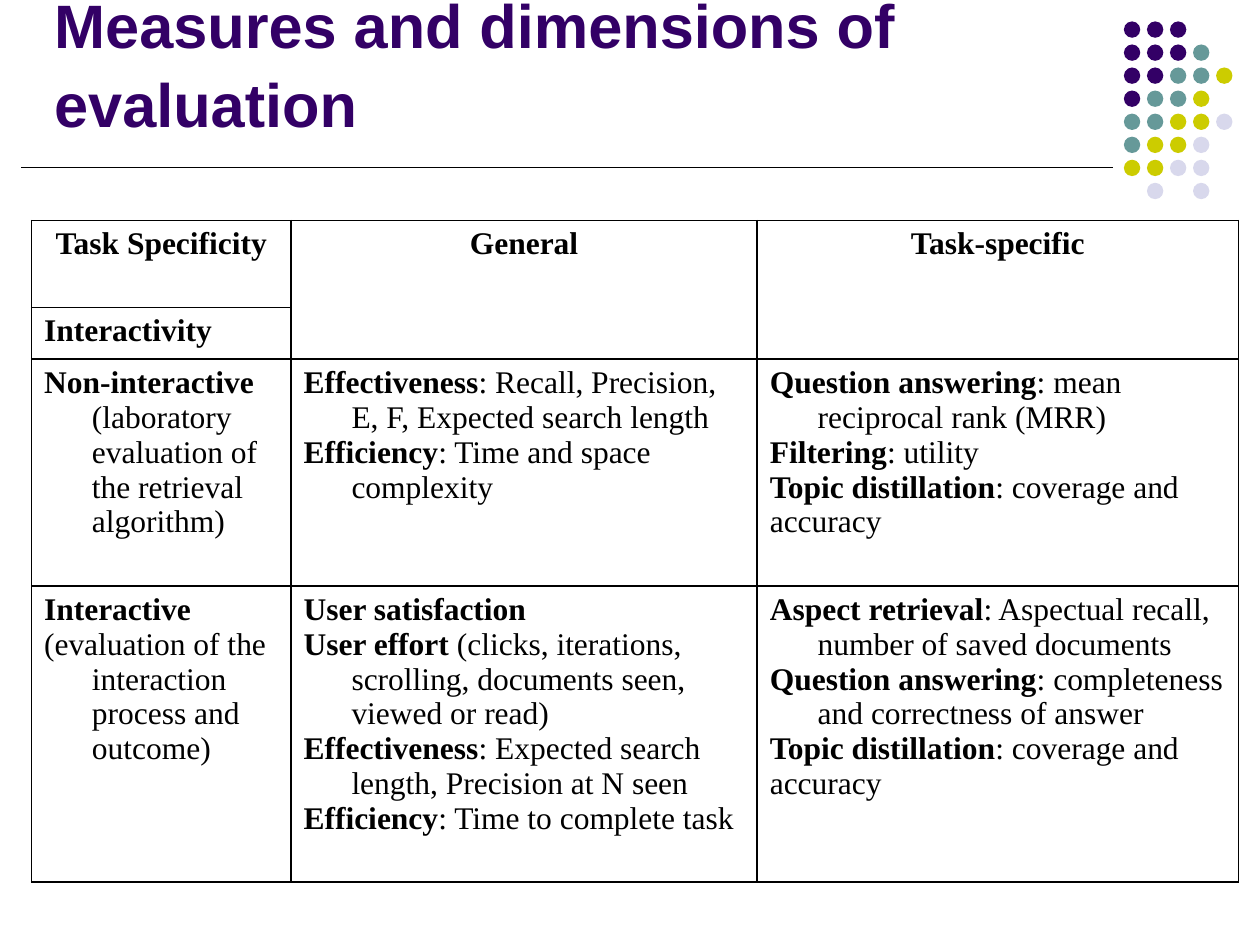
from lxml.etree import SubElement
from pptx import Presentation
from pptx.dml.color import RGBColor
from pptx.enum.shapes import MSO_CONNECTOR as CONNECTOR, MSO_SHAPE as SHAPE
from pptx.enum.text import MSO_ANCHOR as ANCHOR, MSO_AUTO_SIZE as AUTO_SIZE, PP_ALIGN as ALIGN
from pptx.oxml.ns import qn
from pptx.util import Inches, Pt

COLORS = {
    "purple": "330066",
    "teal": "669999",
    "olive": "CCCC00",
    "lavender": "D8D8EC",
    "black": "000000",
}

# One letter per dot, a point where the grid is empty
DOT_ROWS = ["PPP..", "PPPT.", "PPTTO", "PTTO.", "TTOOL", "TOOL.", "OOLL.", ".L.L."]
DOT_COLORS = {"P": "purple", "T": "teal", "O": "olive", "L": "lavender"}
DOT_SIZE, DOT_PITCH = 0.13, 0.183

COLUMN_WIDTHS = [2.06, 3.7, 3.82]
ROW_HEIGHTS = [0.69, 0.41, 1.8, 2.35]
HANGING_INDENT = 0.38

# Each cell is a list of paragraphs: (bold part, regular part)
HEADINGS = [
    [("Task Specificity", "")],
    [("General", "")],
    [("Task-specific", "")],
]
BODY_ROWS = [
    [[("Interactivity", "")], [], []],
    [
        [("Non-interactive", " (laboratory evaluation of the retrieval algorithm)")],
        [
            ("Effectiveness", ": Recall, Precision, E, F, Expected search length"),
            ("Efficiency", ": Time and space complexity"),
        ],
        [
            ("Question answering", ": mean reciprocal rank (MRR)"),
            ("Filtering", ": utility"),
            ("Topic distillation", ": coverage and"),
            ("", "accuracy"),
        ],
    ],
    [
        [
            ("Interactive", ""),
            ("", "(evaluation of the interaction process and outcome)"),
        ],
        [
            ("User satisfaction", ""),
            ("User effort", " (clicks, iterations, scrolling, documents seen, viewed or read)"),
            ("Effectiveness", ": Expected search length, Precision at N seen"),
            ("Efficiency", ": Time to complete task"),
        ],
        [
            ("Aspect retrieval", ": Aspectual recall, number of saved documents"),
            ("Question answering", ": completeness and correctness of answer"),
            ("Topic distillation", ": coverage and"),
            ("", "accuracy"),
        ],
    ],
]


def color(name):
    return RGBColor.from_string(COLORS[name])


def add_span(para, text, font, size, color_name, bold):
    span = para.add_run()
    span.text = text
    span.font.name = font
    span.font.size = Pt(size)
    span.font.bold = bold
    span.font.color.rgb = color(color_name)


def add_dots(page, left, top):
    for row, letters in enumerate(DOT_ROWS):
        for column, letter in enumerate(letters):
            if letter == ".":
                continue
            dot = page.shapes.add_shape(
                SHAPE.OVAL,
                Inches(left + column * DOT_PITCH), Inches(top + row * DOT_PITCH),
                Inches(DOT_SIZE), Inches(DOT_SIZE))
            dot.shadow.inherit = False
            dot.fill.solid()
            dot.fill.fore_color.rgb = color(DOT_COLORS[letter])
            dot.line.fill.background()


def add_rule(page, left, right, y):
    rule = page.shapes.add_connector(
        CONNECTOR.STRAIGHT, Inches(left), Inches(y), Inches(right), Inches(y))
    rule.line.color.rgb = color("black")
    rule.line.width = Pt(0.75)
    SubElement(rule._element.spPr, qn("a:effectLst"))


def set_title(page, text):
    title = page.shapes.title
    title.left, title.top = Inches(0.33), Inches(0.13)
    title.width, title.height = Inches(8.42), Inches(1.03)
    frame = title.text_frame
    frame.word_wrap = True
    frame.auto_size = AUTO_SIZE.NONE
    frame.vertical_anchor = ANCHOR.BOTTOM
    para = frame.paragraphs[0]
    para.alignment = ALIGN.LEFT
    para.line_spacing = 1.08
    add_span(para, text, "Arial", 35, "purple", True)


def set_borders(cell, edges):
    properties = cell._tc.get_or_add_tcPr()
    for edge in edges:
        line = SubElement(properties, qn(f"a:ln{edge}"), w=str(Pt(1)))
        fill = SubElement(line, qn("a:solidFill"))
        SubElement(fill, qn("a:srgbClr"), val=COLORS["black"])


def fill_cell(cell, paragraphs, alignment):
    frame = cell.text_frame
    for index, (strong, regular) in enumerate(paragraphs):
        para = frame.add_paragraph() if index else frame.paragraphs[0]
        para.alignment = alignment
        properties = para._p.get_or_add_pPr()
        properties.set("marL", str(Inches(HANGING_INDENT)))
        properties.set("indent", str(-Inches(HANGING_INDENT)))
        for text, bold in ((strong, True), (regular, False)):
            if text:
                add_span(para, text, "Times New Roman", 18, "black", bold)


def add_measures_table(page, left, top):
    rows = [HEADINGS] + BODY_ROWS
    table = page.shapes.add_table(
        len(rows), len(COLUMN_WIDTHS), Inches(left), Inches(top),
        Inches(sum(COLUMN_WIDTHS)), Inches(sum(ROW_HEIGHTS))).table
    table.first_row = table.horz_banding = False
    for column, width in zip(table.columns, COLUMN_WIDTHS):
        column.width = Inches(width)
    for row, height in zip(table.rows, ROW_HEIGHTS):
        row.height = Inches(height)

    # The two right-hand headings span both heading rows
    for column in (1, 2):
        table.cell(0, column).merge(table.cell(1, column))

    for row, contents in enumerate(rows):
        for column, paragraphs in enumerate(contents):
            cell = table.cell(row, column)
            set_borders(cell, "LRB" if cell.is_spanned else "LRTB")
            cell.fill.background()
            fill_cell(cell, paragraphs, ALIGN.LEFT if row else ALIGN.CENTER)


def main():
    deck = Presentation()
    deck.slide_width, deck.slide_height = Inches(10), Inches(7.5)
    page = deck.slides.add_slide(deck.slide_layouts[5])

    # Decoration
    add_dots(page, 8.92, 0.17)
    add_rule(page, 0.17, 8.83, 1.33)

    # Content
    set_title(page, "Measures and dimensions of evaluation")
    add_measures_table(page, 0.25, 1.75)

    deck.save("out.pptx")


if __name__ == "__main__":
    main()
